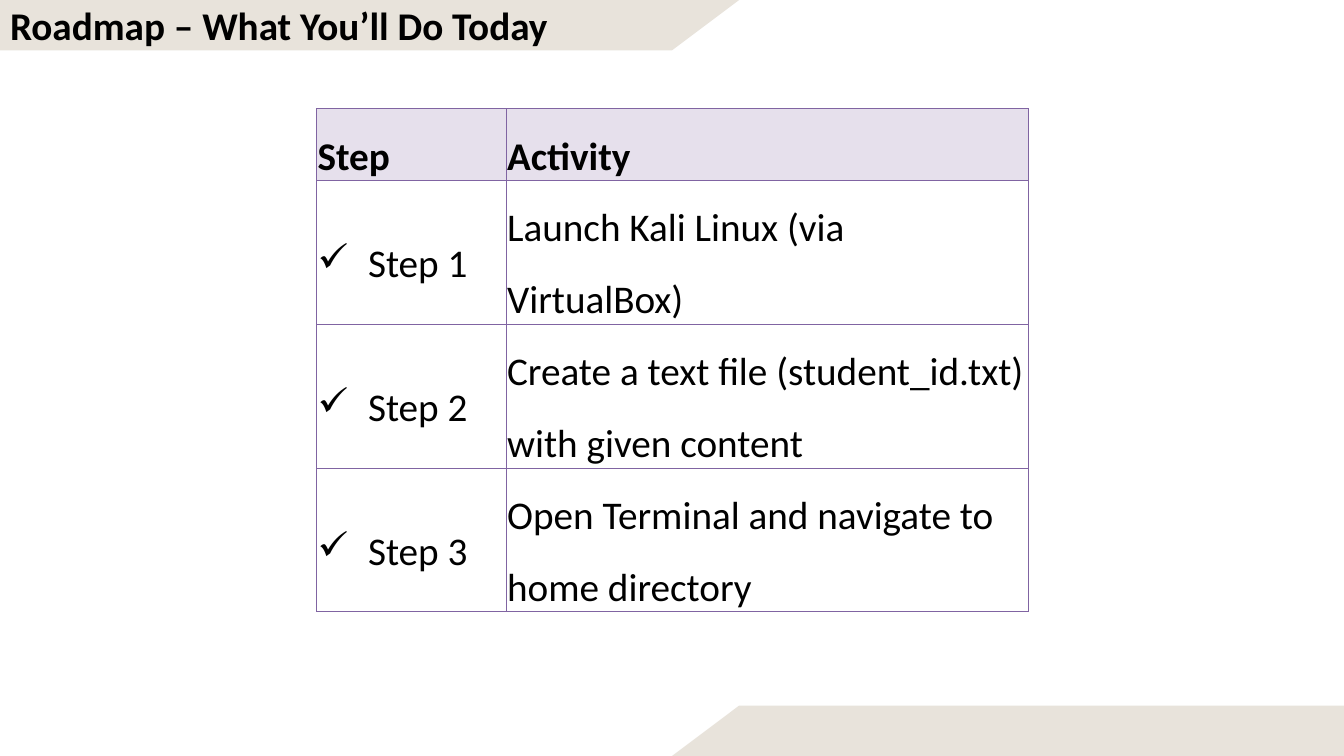
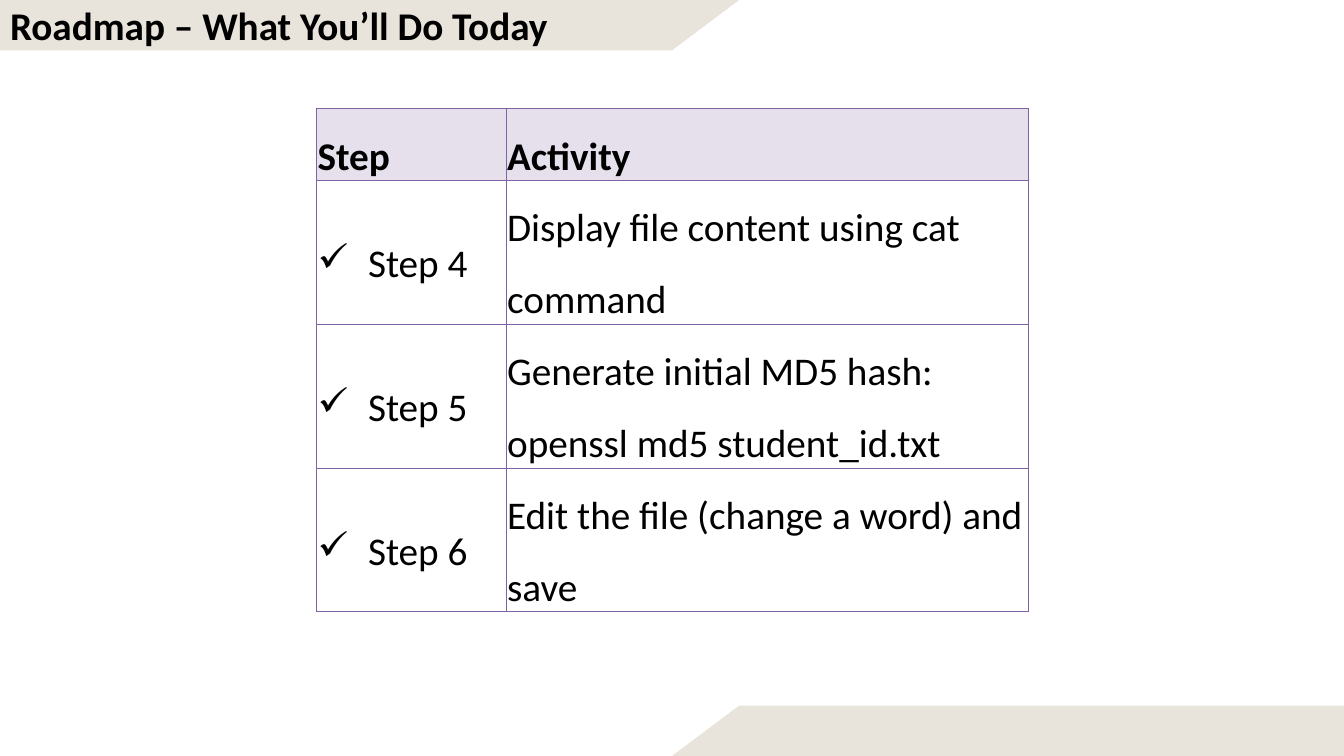
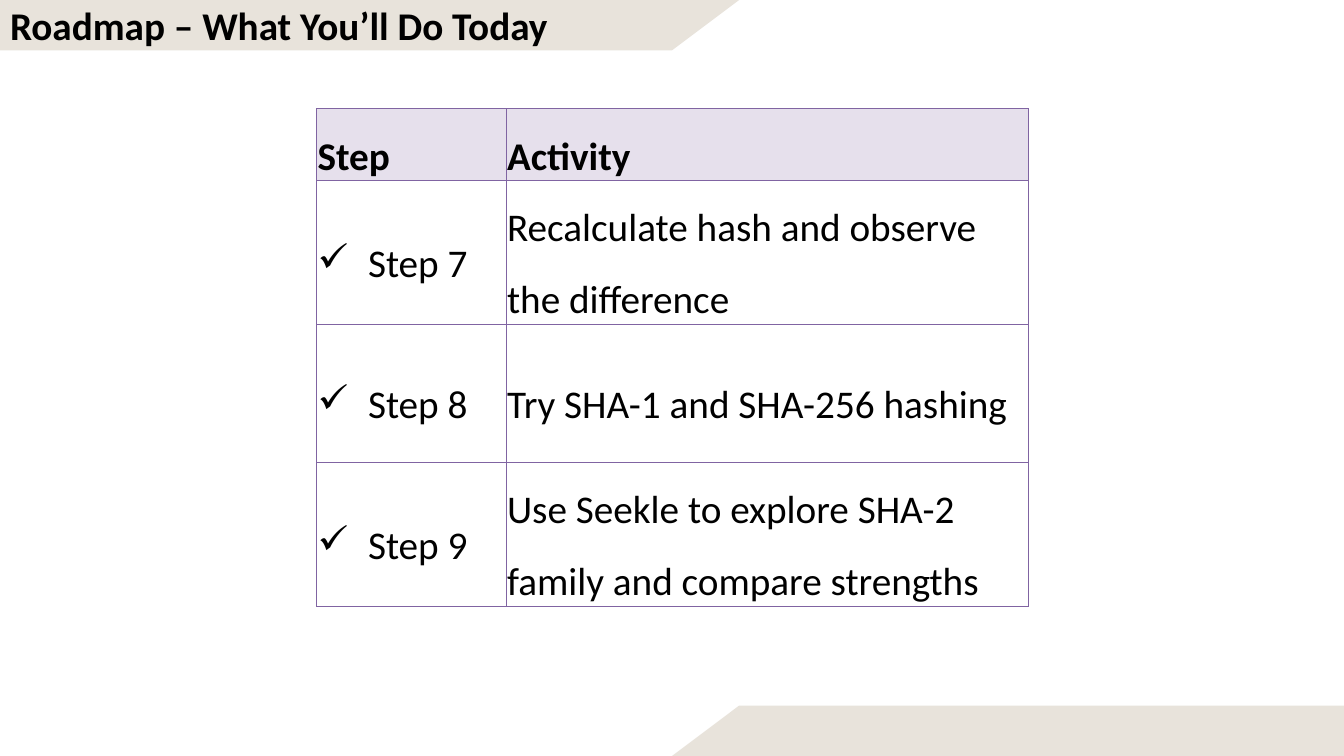
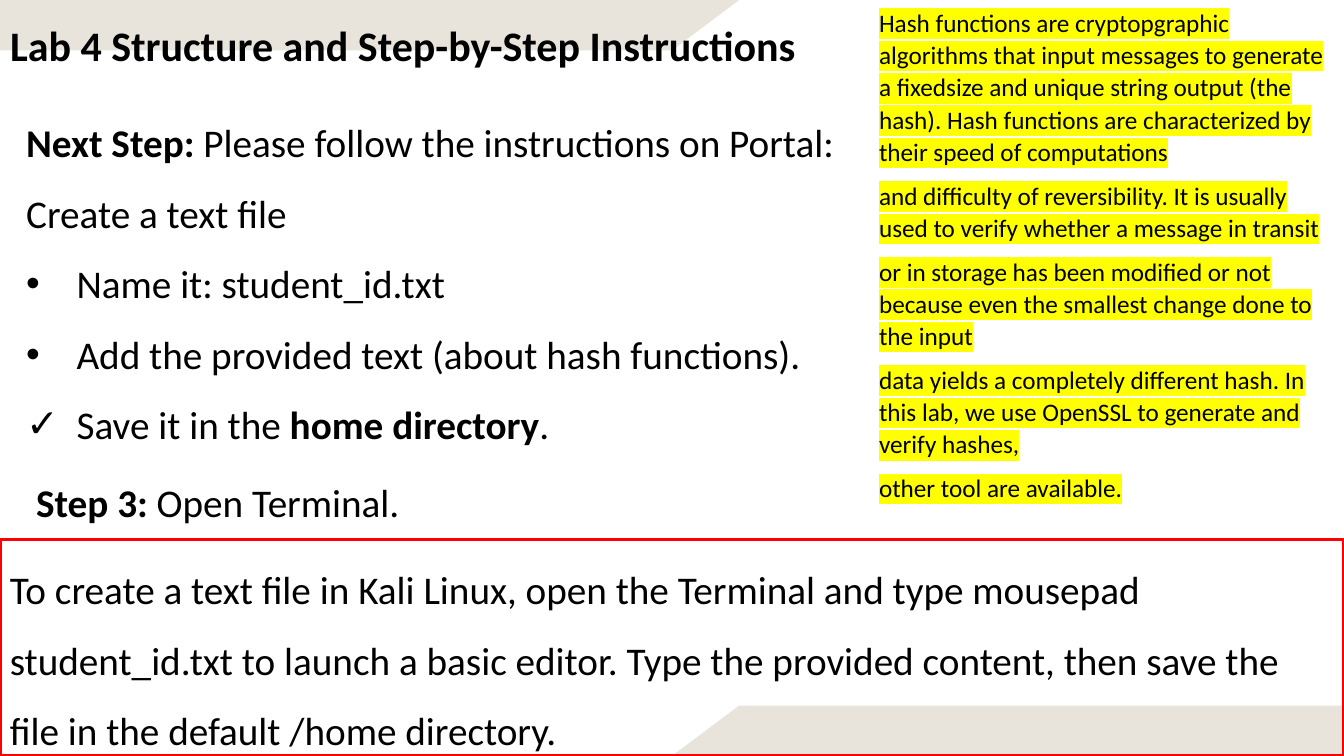
"""Build the four lab slides: three roadmap tables and one instruction page."""
from lxml.etree import SubElement
from pptx import Presentation
from pptx.dml.color import RGBColor
from pptx.enum.shapes import MSO_SHAPE
from pptx.enum.text import MSO_ANCHOR as ANCHOR, MSO_AUTO_SIZE as AUTO_SIZE, PP_ALIGN as ALIGN
from pptx.oxml import parse_xml
from pptx.oxml.ns import nsdecls, qn
from pptx.util import Inches, Pt

COLORS = {name: RGBColor.from_string(value) for name, value in {
    "band": "E8E3DB", "header": "E6E0EC", "border": "8064A2", "text": "000000",
    "frame": "FF0000", "panel": "FFFFFF", "marker": "FFFF00",
}.items()}
FONT = "Calibri"
WIDTH, HEIGHT = Inches(13.33), Inches(7.5)
ROADMAP_TITLE = "Roadmap – What You’ll Do Today"
ROADMAPS = [
    ["Launch Kali Linux (via VirtualBox)",
     "Create a text file (student_id.txt) with given content",
     "Open Terminal and navigate to home directory"],
    ["Display file content using cat command",
     "Generate initial MD5 hash: openssl md5 student_id.txt",
     "Edit the file (change a word) and save"],
    ["Recalculate hash and observe the difference",
     "Try SHA-1 and SHA-256 hashing",
     "Use Seekle to explore SHA-2 family and compare strengths"],
]
INSTRUCTIONS = [
    ("", "**Next Step:** Please follow the instructions on Portal:"),
    ("", "Create a text file"),
    ("•", "Name it: student_id.txt"),
    ("•", "Add the provided text (about hash functions)."),
    ("✓", "Save it in the **home directory**."),
]
EDITOR_TIP = (
    "To create a text file in Kali Linux, open the Terminal and type mousepad "
    "student_id.txt to launch a basic editor. Type the provided content, then save "
    "the file in the default /home directory."
)
HASH_NOTES = [
    "Hash functions are cryptopgraphic algorithms that input messages to generate a "
    "fixedsize and unique string output (the hash). Hash functions are characterized "
    "by their speed of computations",
    "and difficulty of reversibility. It is usually used to verify whether a message in transit",
    "or in storage has been modified or not because even the smallest change done to the input",
    "data yields a completely different hash. In this lab, we use OpenSSL to generate and "
    "verify hashes,",
    "other tool are available.",
]


def write(frame, lines, size=28, bold=False, spacing=1.5, after=0):
    """Fill a frame with (bullet, text) lines; ** switches bold on and off."""
    for index, (bullet, text) in enumerate(lines):
        para = frame.add_paragraph() if index else frame.paragraphs[0]
        props = para._p.get_or_add_pPr()
        indent = Inches(0.5) if bullet else 0
        props.set("marL", str(indent))
        props.set("indent", str(-indent))
        if bullet:
            SubElement(props, qn("a:buChar")).set("char", bullet)
        else:
            SubElement(props, qn("a:buNone"))
        para.alignment = ALIGN.LEFT
        para.line_spacing = spacing
        para.space_before, para.space_after = Pt(0), Pt(after)
        para.font.name, para.font.size, para.font.bold = FONT, Pt(size), bold
        para.font.color.rgb = COLORS["text"]
        parts = text.split("**")
        for number, part in enumerate(parts):
            if part:
                span = para.add_run()
                span.text = part
                if len(parts) > 1:
                    span.font.bold = number % 2 == 1


def place(box, left, top, width, height, anchor=ANCHOR.TOP):
    """Set a box by percentages of the slide and return its text frame."""
    box.left, box.width = (int(WIDTH * share / 100) for share in (left, width))
    box.top, box.height = (int(HEIGHT * share / 100) for share in (top, height))
    frame = box.text_frame
    frame.word_wrap = True
    frame.auto_size = AUTO_SIZE.NONE
    frame.vertical_anchor = anchor
    return frame


deck = Presentation()
deck.slide_width, deck.slide_height = WIDTH, HEIGHT
content_layout, title_layout = deck.slide_layouts[1], deck.slide_layouts[5]

for number, activities in enumerate(ROADMAPS):
    page = deck.slides.add_slide(title_layout)
    write(place(page.shapes.title, 0, -3.6, 78.75, 9.73), [("", ROADMAP_TITLE)], bold=True)
    rows = [("", "Step", "Activity")]
    for step, activity in enumerate(activities, 3 * number + 1):
        rows.append(("✓", f"Step {step}", activity))
    grid = page.shapes.add_table(len(rows), 2, Inches(3.14), Inches(1.08),
                                 Inches(7.06), Inches(4.83)).table
    grid.first_row = grid.horz_banding = False
    grid.columns[0].width, grid.columns[1].width = Inches(1.88), Inches(5.18)
    for index, (bullet, label, activity) in enumerate(rows):
        header = index == 0
        grid.rows[index].height = Inches(0.71 if header else 1.37)
        for cell, line in zip(grid.rows[index].cells, [(bullet, label), ("", activity)]):
            cell.margin_left = cell.margin_right = Inches(0.01)
            cell.margin_top = cell.margin_bottom = 0
            cell.vertical_anchor = ANCHOR.MIDDLE
            for side in ("lnL", "lnR", "lnT", "lnB"):
                cell._tc.get_or_add_tcPr().append(parse_xml(
                    f'<a:{side} {nsdecls("a")} w="{Pt(1)}"><a:solidFill>'
                    f'<a:srgbClr val="{COLORS["border"]}"/></a:solidFill></a:{side}>'))
            if header:
                cell.fill.solid()
                cell.fill.fore_color.rgb = COLORS["header"]
            else:
                cell.fill.background()
            write(cell.text_frame, [line], bold=header)

page = deck.slides.add_slide(content_layout)
write(place(page.shapes.title, 0, -1.47, 100, 10.4),
      [("", "Lab 4 Structure and Step-by-Step Instructions")], size=30, bold=True)
write(place(page.placeholders[1], 1.2, 11.87, 63.47, 47.47), INSTRUCTIONS)
step_box = page.shapes.add_textbox(0, 0, 0, 0)
write(place(step_box, 1.95, 59.47, 70.6, 9.73), [("", "**Step 3:** Open Terminal.")])

tip_box = page.shapes.add_shape(MSO_SHAPE.RECTANGLE, 0, 0, 0, 0)
tip_box.shadow.inherit = False
tip_box.fill.background()
tip_box.line.color.rgb = COLORS["frame"]
tip_box.line.width = Pt(2.25)
write(place(tip_box, 0, 71.33, 100, 28.67, ANCHOR.MIDDLE), [("", EDITOR_TIP)])

notes_box = page.shapes.add_shape(MSO_SHAPE.RECTANGLE, 0, 0, 0, 0)
notes_box.shadow.inherit = False
notes_box.fill.solid()
notes_box.fill.fore_color.rgb = COLORS["panel"]
notes_box.line.fill.background()
notes_frame = place(notes_box, 64.67, 0, 35.33, 67.6)
write(notes_frame, [("", note) for note in HASH_NOTES], size=18, spacing=1.07, after=8)
for para in notes_frame.paragraphs:
    for span in para.runs:
        marker = SubElement(span._r.get_or_add_rPr(), qn("a:highlight"))
        SubElement(marker, qn("a:srgbClr")).set("val", str(COLORS["marker"]))

BAND = HEIGHT / 15
BAND_OUTLINES = [
    [(0, 0), (WIDTH * 0.55, 0), (WIDTH * 0.5, BAND), (0, BAND)],
    [(WIDTH * 0.55, HEIGHT - BAND), (WIDTH, HEIGHT - BAND), (WIDTH, HEIGHT), (WIDTH * 0.5, HEIGHT)],
]
for outline in BAND_OUTLINES:
    builder = page.shapes.build_freeform(*outline[0])
    builder.add_line_segments(outline[1:], close=True)
    band = builder.convert_to_shape()
    band.shadow.inherit = False
    band.fill.solid()
    band.fill.fore_color.rgb = COLORS["band"]
    band.line.fill.background()
    deck.slide_master.shapes.element.insert(2, band.element)

deck.save("out.pptx")
